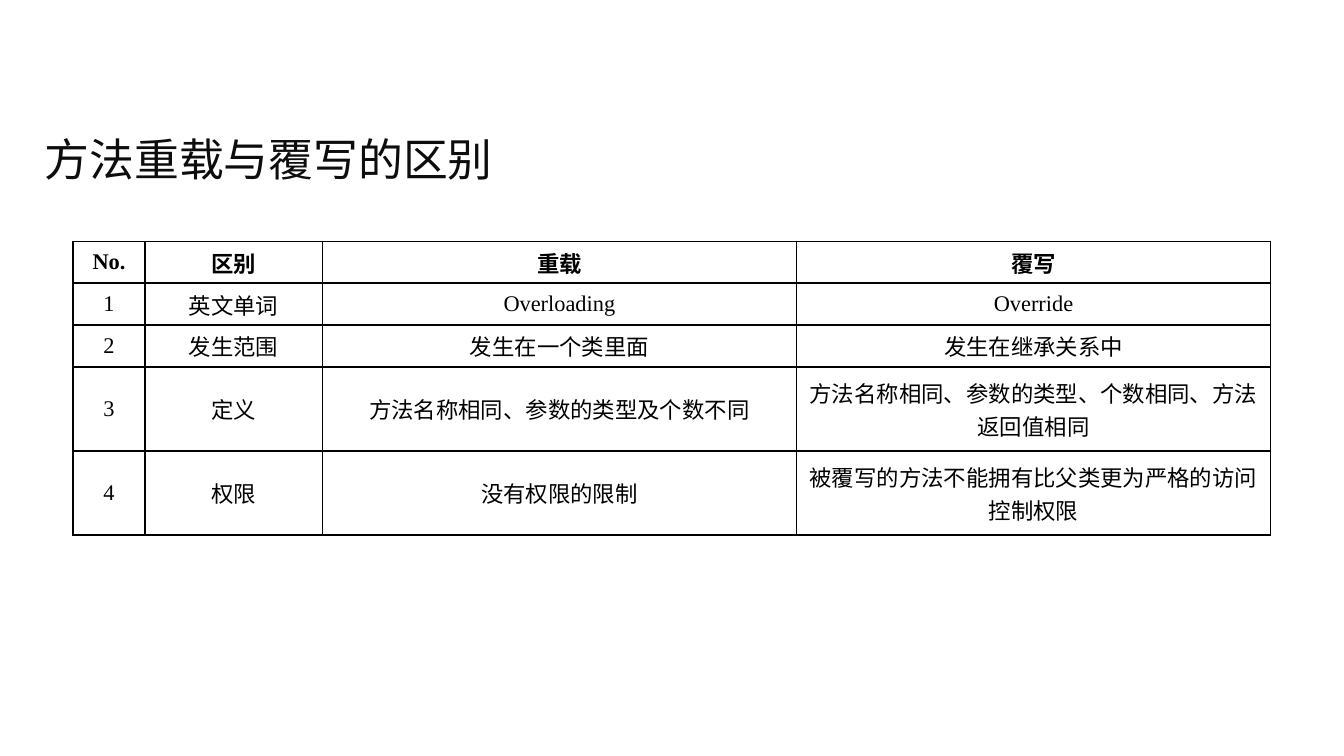
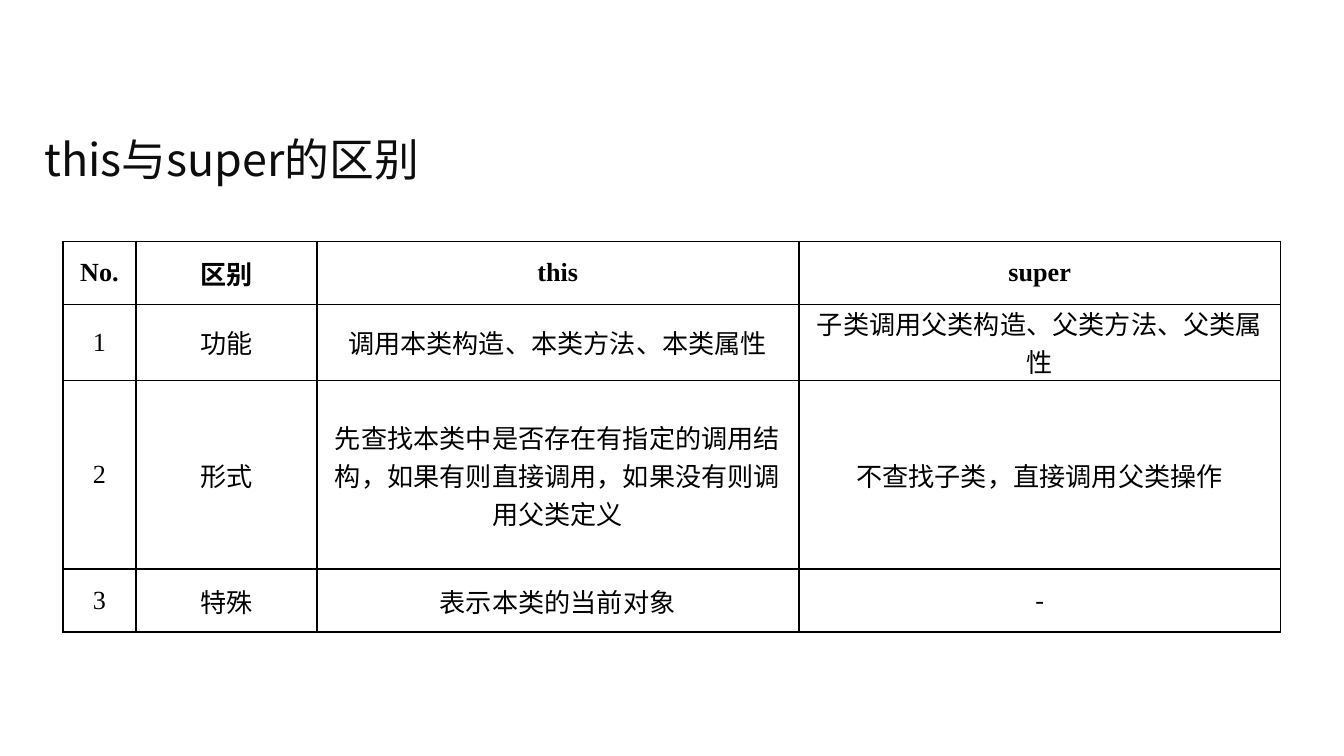
"""Build two slides that compare Java concepts in bordered tables."""
from dataclasses import dataclass

from lxml.etree import SubElement
from pptx import Presentation
from pptx.dml.color import RGBColor
from pptx.enum.text import MSO_ANCHOR, PP_ALIGN
from pptx.oxml import parse_xml
from pptx.oxml.ns import nsdecls, qn
from pptx.util import Pt


@dataclass(frozen=True)
class Theme:
    """Colours, fonts, type sizes and shared lengths in points."""
    title_color: str = "0D0D0D"
    table_color: str = "000000"
    title_font: str = "Noto Sans CJK SC"
    table_font: str = "Times New Roman"
    title_size: float = 24
    method_size: float = 12
    keyword_size: float = 14
    page_width: float = 720
    page_height: float = 405
    table_top: float = 129.3
    cell_margin: float = 5
    border_width: float = 1


THEME = Theme()

METHOD_ROWS = [
    ["No.", "区别", "重载", "覆写"],
    ["1", "英文单词", "Overloading", "Override"],
    ["2", "发生范围", "发生在一个类里面", "发生在继承关系中"],
    ["3", "定义", "方法名称相同、参数的类型及个数不同",
     "方法名称相同、参数的类型、个数相同、方法返回值相同"],
    ["4", "权限", "没有权限的限制",
     "被覆写的方法不能拥有比父类更为严格的访问控制权限"],
]

KEYWORD_ROWS = [
    ["No.", "区别", "this", "super"],
    ["1", "功能", "调用本类构造、本类方法、本类属性",
     "子类调用父类构造、父类方法、父类属性"],
    ["2", "形式",
     "先查找本类中是否存在有指定的调用结构，如果有则直接调用，如果没有则调用父类定义",
     "不查找子类，直接调用父类操作"],
    ["3", "特殊", "表示本类的当前对象", "-"],
]


def style_paragraph(paragraph, font_name, size, color, bold=False):
    """Format every run, with the title font for Chinese characters."""
    for span in paragraph.runs:
        span.font.name = font_name
        span.font.size = Pt(size)
        span.font.bold = bold
        span.font.color.rgb = RGBColor.from_string(color)
        east_asian = SubElement(span.font._element, qn("a:ea"))
        east_asian.set("typeface", THEME.title_font)


def add_title(page, text):
    """Add the slide title."""
    box = page.shapes.add_textbox(Pt(16.8), Pt(62), Pt(686), Pt(46))
    frame = box.text_frame
    frame.word_wrap = True
    frame.vertical_anchor = MSO_ANCHOR.MIDDLE
    frame.text = text
    style_paragraph(frame.paragraphs[0], THEME.title_font,
                    THEME.title_size, THEME.title_color)


def add_borders(cell):
    """Draw a solid line on all four sides of a cell."""
    properties = cell._tc.get_or_add_tcPr()
    for position, side in enumerate(("lnL", "lnR", "lnT", "lnB")):
        properties.insert(position, parse_xml(
            f'<a:{side} {nsdecls("a")} w="{Pt(THEME.border_width)}">'
            f'<a:solidFill><a:srgbClr val="{THEME.table_color}"/></a:solidFill>'
            f'</a:{side}>'))


def fill_cell(cell, text, size, bold):
    """Write one centred table cell."""
    cell.text_frame.text = text
    cell.vertical_anchor = MSO_ANCHOR.MIDDLE
    cell.margin_left = cell.margin_right = Pt(THEME.cell_margin)
    cell.margin_top = cell.margin_bottom = Pt(0)
    cell.fill.background()
    add_borders(cell)
    paragraph = cell.text_frame.paragraphs[0]
    paragraph.alignment = PP_ALIGN.CENTER
    style_paragraph(paragraph, THEME.table_font, size, THEME.table_color, bold)


def add_comparison(page, rows, widths, heights, size):
    """Add a horizontally centred table with a bold header row."""
    width = sum(widths)
    table = page.shapes.add_table(
        len(rows), len(widths), Pt((THEME.page_width - width) / 2),
        Pt(THEME.table_top), Pt(width), Pt(sum(heights))).table
    table.first_row = table.horz_banding = False
    for column, column_width in zip(table.columns, widths):
        column.width = Pt(column_width)
    for row_number, (row, height, texts) in enumerate(zip(table.rows, heights, rows)):
        row.height = Pt(height)
        for cell, text in zip(row.cells, texts):
            fill_cell(cell, text, size, bold=row_number == 0)


def add_page(deck, title, rows, widths, heights, size):
    """Add one slide with a title and a comparison table."""
    page = deck.slides.add_slide(deck.slide_layouts[6])
    add_title(page, title)
    add_comparison(page, rows, widths, heights, size)


def main():
    """Build and save the deck."""
    deck = Presentation()
    deck.slide_width = Pt(THEME.page_width)
    deck.slide_height = Pt(THEME.page_height)
    add_page(deck, "方法重载与覆写的区别", METHOD_ROWS,
             [38.3, 95.2, 254, 254], [22.5] * 3 + [45] * 2, THEME.method_size)
    add_page(deck, "this与super的区别", KEYWORD_ROWS,
             [38.9, 97, 258.2, 258.2], [33.75, 40.75, 101.25, 33.75],
             THEME.keyword_size)
    deck.save("out.pptx")


if __name__ == "__main__":
    main()
